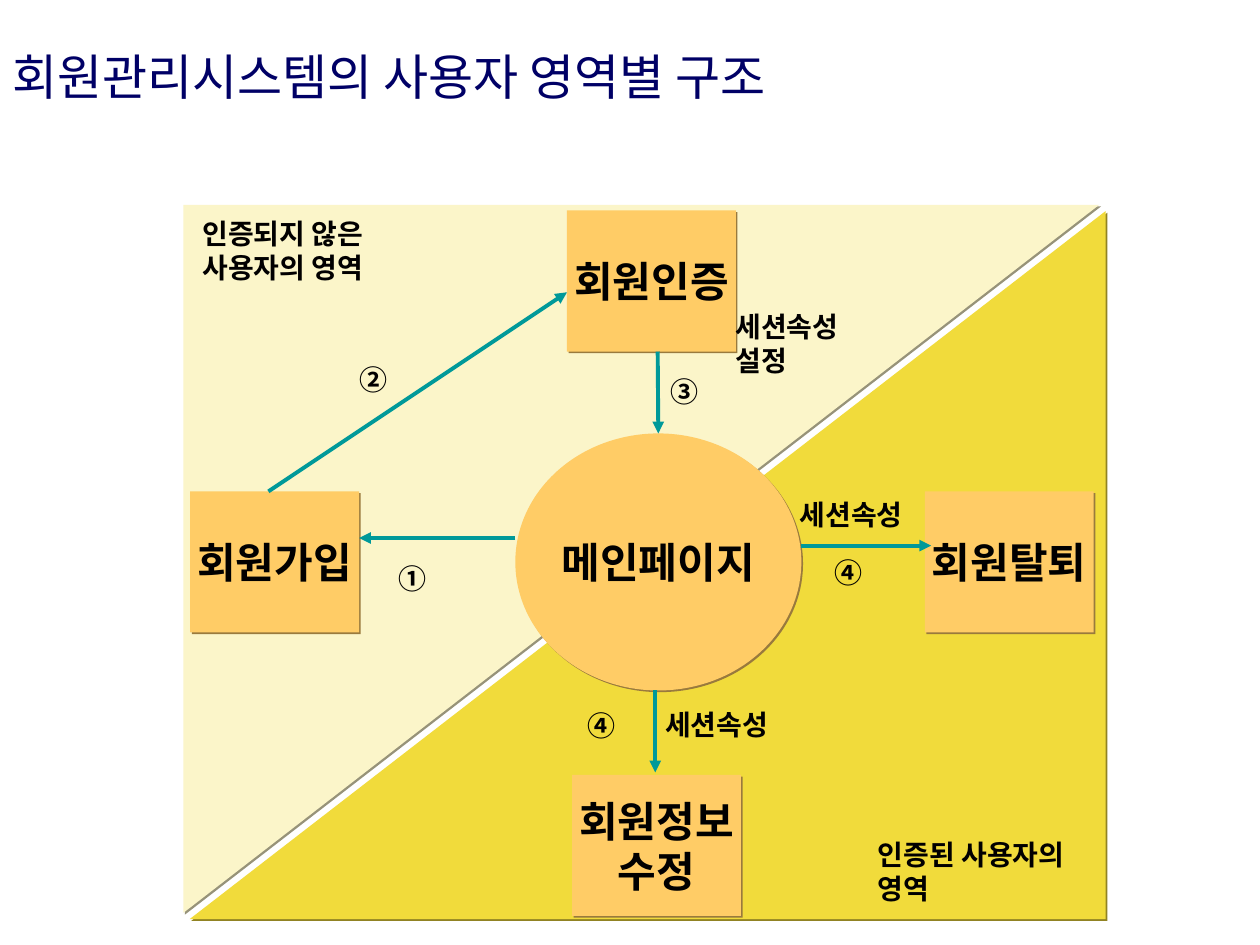
from lxml.etree import SubElement
from pptx import Presentation
from pptx.dml.color import RGBColor
from pptx.enum.shapes import MSO_CONNECTOR as Connector, MSO_SHAPE as Shape
from pptx.enum.text import MSO_ANCHOR as Anchor, MSO_AUTO_SIZE as AutoSize, PP_ALIGN as Align
from pptx.oxml.ns import qn
from pptx.util import Inches, Pt


def rgb(hex_code):
    return RGBColor.from_string(hex_code)


def write(frame, text, size=16, color="010000", bold=True, align=Align.LEFT,
          anchor=Anchor.TOP, wrap=True, inset=(0.1, 0.05), spacing=None):
    """Fill a text frame, one paragraph per line of text."""
    frame.word_wrap = wrap
    frame.vertical_anchor = anchor
    frame.margin_left = frame.margin_right = Inches(inset[0])
    frame.margin_top = frame.margin_bottom = Inches(inset[1])
    for index, line in enumerate(text.split("\n")):
        paragraph = frame.add_paragraph() if index else frame.paragraphs[0]
        paragraph.alignment = align
        if spacing:
            paragraph.line_spacing = spacing
        run = paragraph.add_run()
        run.text = line
        run.font.size = Pt(size)
        run.font.bold = bold
        run.font.color.rgb = rgb(color)
        run.font.name = Diagram.FONT
        SubElement(run.font._element, qn("a:ea"), typeface=Diagram.FONT)


class Diagram:
    FONT = "Noto Sans CJK KR"
    NODE_FILL, NODE_SHADOW = "FFCC66", "997A3D"
    ARROW = "009999"

    def __init__(self, slide):
        self.slide = slide

    def block(self, kind, box, fill, shadow, rotation=0):
        """Add a borderless shape with a hard shadow to the lower right."""
        shape = self.slide.shapes.add_shape(kind, *map(Inches, box))
        shape.rotation = rotation
        shape.fill.solid()
        shape.fill.fore_color.rgb = rgb(fill)
        shape.line.fill.background()
        shape.shadow.inherit = False
        effects = shape._element.spPr.find(qn("a:effectLst"))
        outer = SubElement(effects, qn("a:outerShdw"), dist=str(Pt(1.4)),
                           dir="2700000", algn="ctr", rotWithShape="0")
        SubElement(outer, qn("a:srgbClr"), val=shadow)
        return shape

    def node(self, text, left, top, width=1.34, height=1.12, kind=Shape.RECTANGLE):
        shape = self.block(kind, (left, top, width, height), self.NODE_FILL, self.NODE_SHADOW)
        write(shape.text_frame, text, size=24, align=Align.CENTER,
              anchor=Anchor.MIDDLE, wrap=False)
        return shape

    def arrow(self, start, end):
        connector = self.slide.shapes.add_connector(
            Connector.STRAIGHT, *map(Inches, start + end))
        connector.line.color.rgb = rgb(self.ARROW)
        connector.line.width = Pt(2.25)
        SubElement(connector.line._get_or_add_ln(), qn("a:tailEnd"), type="triangle")
        SubElement(connector._element.spPr, qn("a:effectLst"))
        return connector

    def label(self, text, left, top, width, height, **text_format):
        box = self.slide.shapes.add_textbox(*map(Inches, (left, top, width, height)))
        write(box.text_frame, text, **text_format)
        return box

    def note(self, text, left, top, width, height, **text_format):
        box = self.label(text, left, top, width, height, **text_format)
        box.text_frame.auto_size = AutoSize.SHAPE_TO_FIT_TEXT

    def step(self, number, left, top):
        self.note(number, left, top, 0.31, 0.27, inset=(0, 0))


def main():
    presentation = Presentation()
    presentation.slide_width, presentation.slide_height = Inches(10), Inches(7.5)
    diagram = Diagram(presentation.slides.add_slide(presentation.slide_layouts[6]))

    diagram.label("회원관리시스템의 사용자 영역별 구조", 0, 0.21, 6.42, 0.9, size=28,
                  color="000066", bold=False, anchor=Anchor.MIDDLE, spacing=0.7)

    diagram.block(Shape.RIGHT_TRIANGLE, (2.33, 0.85, 5.62, 7.27), "F1DB3B", "918323", 270)
    diagram.block(Shape.RIGHT_TRIANGLE, (2.28, 0.8, 5.62, 7.27), "FBF5C9", "979379", 90)

    main_page = diagram.node("메인페이지", 4.09, 3.44, 2.27, 2.04, Shape.OVAL)
    diagram.node("회원인증", 4.5, 1.67)
    diagram.node("회원정보\n수정", 4.54, 6.15)
    diagram.node("회원탈퇴", 7.34, 3.9)
    diagram.node("회원가입", 1.51, 3.9)

    diagram.arrow((2.13, 3.9), (4.5, 2.32))
    diagram.arrow((4.09, 4.27), (2.85, 4.27))
    diagram.arrow((5.22, 2.79), (5.22, 3.44)).end_connect(main_page, 0)
    diagram.arrow((5.2, 5.48), (5.2, 6.13))
    diagram.arrow((6.36, 4.33), (7.39, 4.33))

    for number, left, top in (("①", 3.16, 4.46), ("②", 2.85, 2.88), ("③", 5.32, 2.97),
                              ("④", 4.66, 5.62), ("④", 6.62, 4.41)):
        diagram.step(number, left, top)

    diagram.note("인증되지 않은 사용자의 영역", 1.51, 1.67, 1.86, 0.64)
    diagram.note("인증된 사용자의 영역", 6.87, 6.6, 1.86, 0.64)
    diagram.note("세션속성 설정", 5.74, 2.41, 1.34, 0.64)
    diagram.note("세션속성", 6.25, 3.9, 1.34, 0.37)
    diagram.note("세션속성", 5.18, 5.57, 1.34, 0.37)

    presentation.save("out.pptx")


if __name__ == "__main__":
    main()
